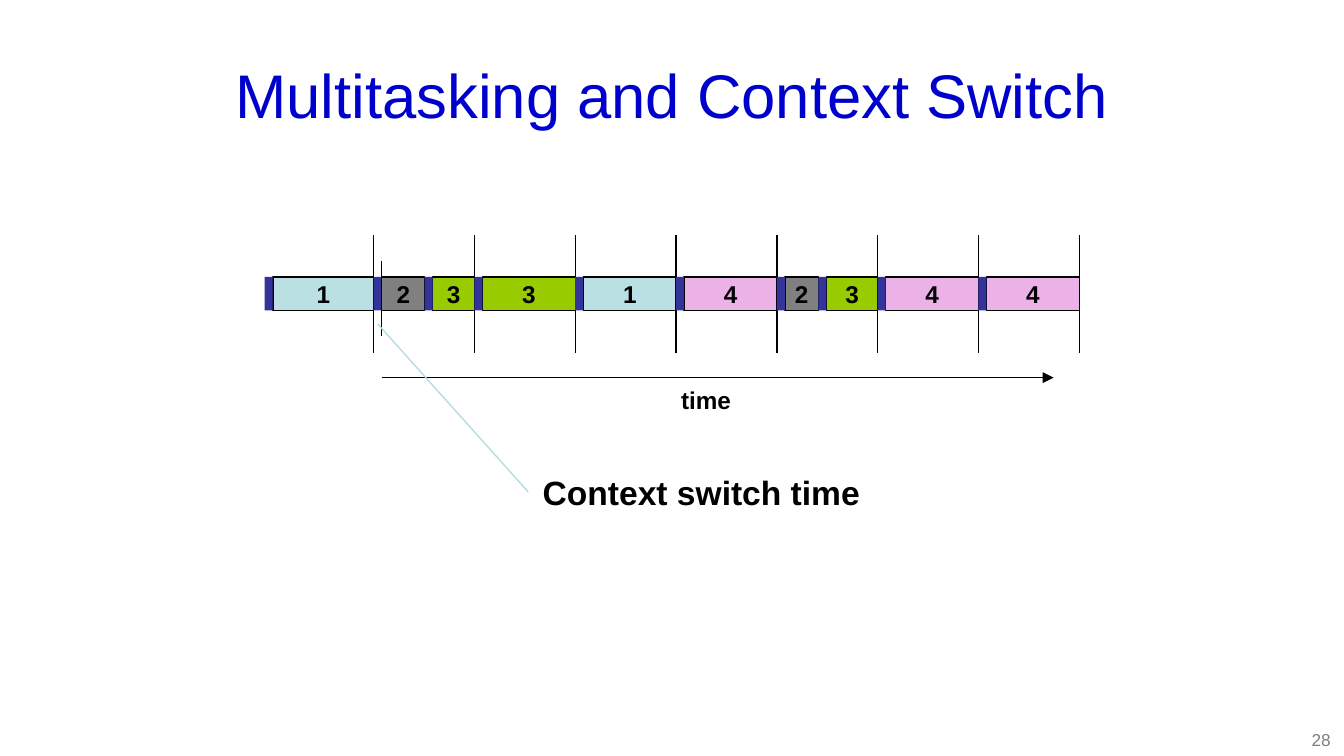
from dataclasses import dataclass

from lxml.etree import SubElement
from pptx import Presentation
from pptx.dml.color import RGBColor
from pptx.enum.shapes import MSO_CONNECTOR, MSO_SHAPE
from pptx.enum.text import MSO_ANCHOR, PP_ALIGN
from pptx.oxml.ns import qn
from pptx.util import Inches, Pt

COLORS = {
    "title": "0000CC", "text": "000000", "number": "808080", "line": "000000",
    "switch": "333399", "pointer": "B6DCDF",
}
TASK_COLORS = {"1": "BBE0E3", "2": "808080", "3": "99CC00", "4": "ECB2E8"}

BAR_TOP, BAR_HEIGHT = 2.06, 0.25
SWITCH_WIDTH = 0.06
FIRST_TICK, TICK_GAP, TICK_COUNT = 2.78, 0.75, 8


@dataclass
class Slice:
    """One turn of a task: a context switch followed by running time."""
    task: str
    start: float
    end: float


STARTS = [1.97, 2.78, 3.16, 3.53, 4.28, 5.03, 5.78, 6.09, 6.53, 7.28, 8.03]
SLICES = [Slice(task, start, end)
          for task, start, end in zip("1233142344", STARTS, STARTS[1:])]


def write_text(shape, text: str, *, size: float, color: str = COLORS["text"],
               bold: bool = False, align=PP_ALIGN.LEFT,
               anchor=MSO_ANCHOR.TOP, wrap: bool = False) -> None:
    frame = shape.text_frame
    frame.word_wrap = wrap
    frame.vertical_anchor = anchor
    paragraph = frame.paragraphs[0]
    paragraph.alignment = align
    run = paragraph.add_run()
    run.text = text
    run.font.name = "Arial"
    run.font.size = Pt(size)
    run.font.bold = bold
    run.font.color.rgb = RGBColor.from_string(color)


def add_label(slide, text: str, left: float, top: float, width: float,
              height: float, **text_format) -> None:
    box = slide.shapes.add_textbox(Inches(left), Inches(top),
                                   Inches(width), Inches(height))
    write_text(box, text, **text_format)


def add_block(slide, left: float, width: float, fill: str, outlined: bool):
    block = slide.shapes.add_shape(MSO_SHAPE.RECTANGLE, Inches(left), Inches(BAR_TOP),
                                   Inches(width), Inches(BAR_HEIGHT))
    block.shadow.inherit = False
    block.fill.solid()
    block.fill.fore_color.rgb = RGBColor.from_string(fill)
    if outlined:
        block.line.color.rgb = RGBColor.from_string(COLORS["line"])
        block.line.width = Pt(0.75)
    else:
        block.line.fill.background()
    return block


def add_line(slide, start: tuple[float, float], end: tuple[float, float],
             color: str = COLORS["line"], arrow: bool = False) -> None:
    points = [Inches(value) for value in (*start, *end)]
    connector = slide.shapes.add_connector(MSO_CONNECTOR.STRAIGHT, *points)
    connector.line.color.rgb = RGBColor.from_string(color)
    connector.line.width = Pt(0.75)
    properties = connector._element.spPr
    if arrow:
        SubElement(properties.find(qn("a:ln")), qn("a:tailEnd"), type="triangle")
    SubElement(properties, qn("a:effectLst"))


def add_slice(slide, turn: Slice) -> None:
    left = turn.start + SWITCH_WIDTH
    task = add_block(slide, left, turn.end - left, TASK_COLORS[turn.task], outlined=True)
    write_text(task, turn.task, size=13, bold=True,
               align=PP_ALIGN.CENTER, anchor=MSO_ANCHOR.MIDDLE)
    add_block(slide, turn.start, SWITCH_WIDTH, COLORS["switch"], outlined=False)


def main() -> None:
    # Widescreen slide, 16:9
    presentation = Presentation()
    presentation.slide_width = Inches(10)
    presentation.slide_height = Inches(10 * 9 / 16)
    slide = presentation.slides.add_slide(presentation.slide_layouts[5])

    # Title and slide number
    title = slide.shapes.title
    title.left, title.top = Inches(0.5), Inches(0.23)
    title.width, title.height = Inches(9), Inches(0.94)
    write_text(title, "Multitasking and Context Switch", size=33, color=COLORS["title"],
               align=PP_ALIGN.CENTER, anchor=MSO_ANCHOR.MIDDLE, wrap=True)
    add_label(slide, "28", 7.67, 5.38, 2.33, 0.27, size=9.2,
              color=COLORS["number"], align=PP_ALIGN.RIGHT, wrap=True)

    # Time quantum ticks, then the slices over them
    for index in range(TICK_COUNT):
        x = FIRST_TICK + index * TICK_GAP
        add_line(slide, (x, 1.75), (x, 2.63))
    for turn in SLICES:
        add_slice(slide, turn)

    # Mark at the end of the second switch
    add_line(slide, (2.84, 1.94), (2.84, 2.5))

    # Time axis
    add_line(slide, (2.84, 2.81), (7.84, 2.81), arrow=True)
    add_label(slide, "time", 4.97, 2.82, 0.57, 0.32, size=13, bold=True)

    # Callout
    add_label(slide, "Context switch time", 3.94, 3.46, 2.56, 0.4, size=18, bold=True)
    add_line(slide, (2.81, 2.41), (3.93, 3.66), color=COLORS["pointer"])

    presentation.save("out.pptx")


if __name__ == "__main__":
    main()
